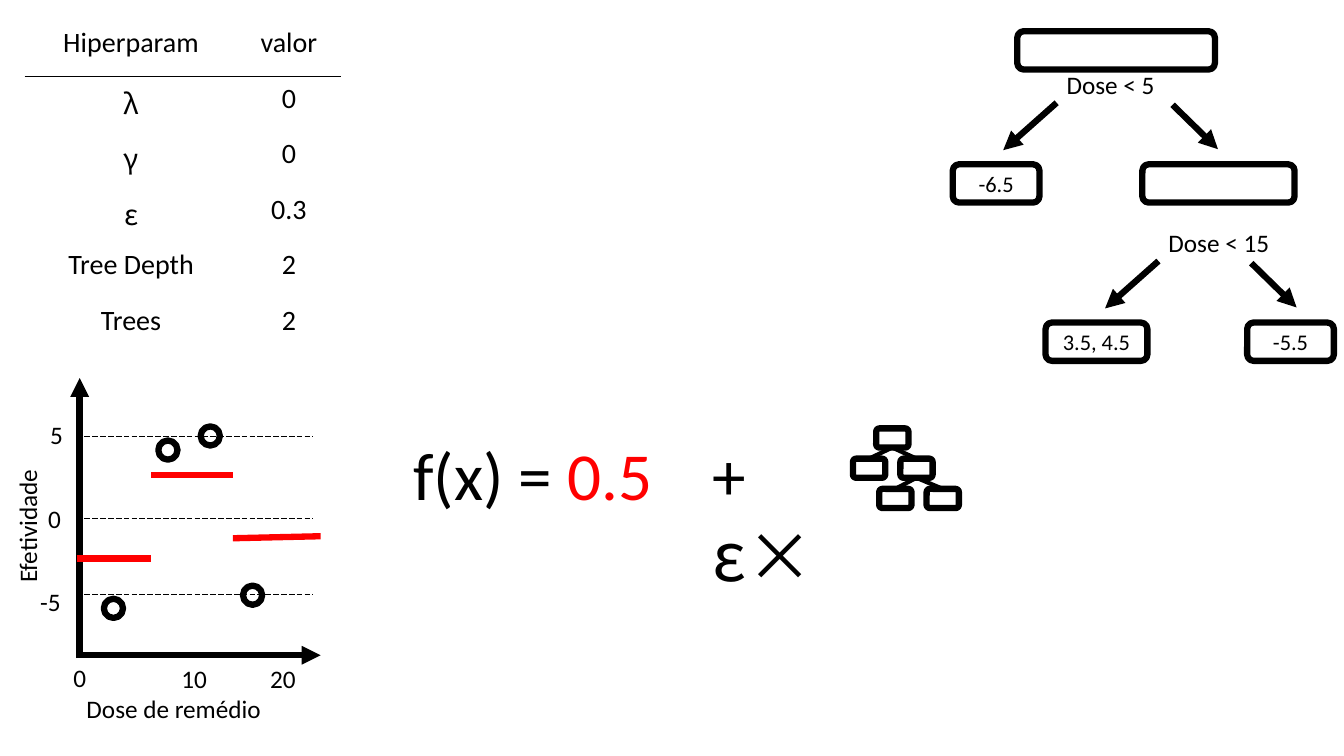
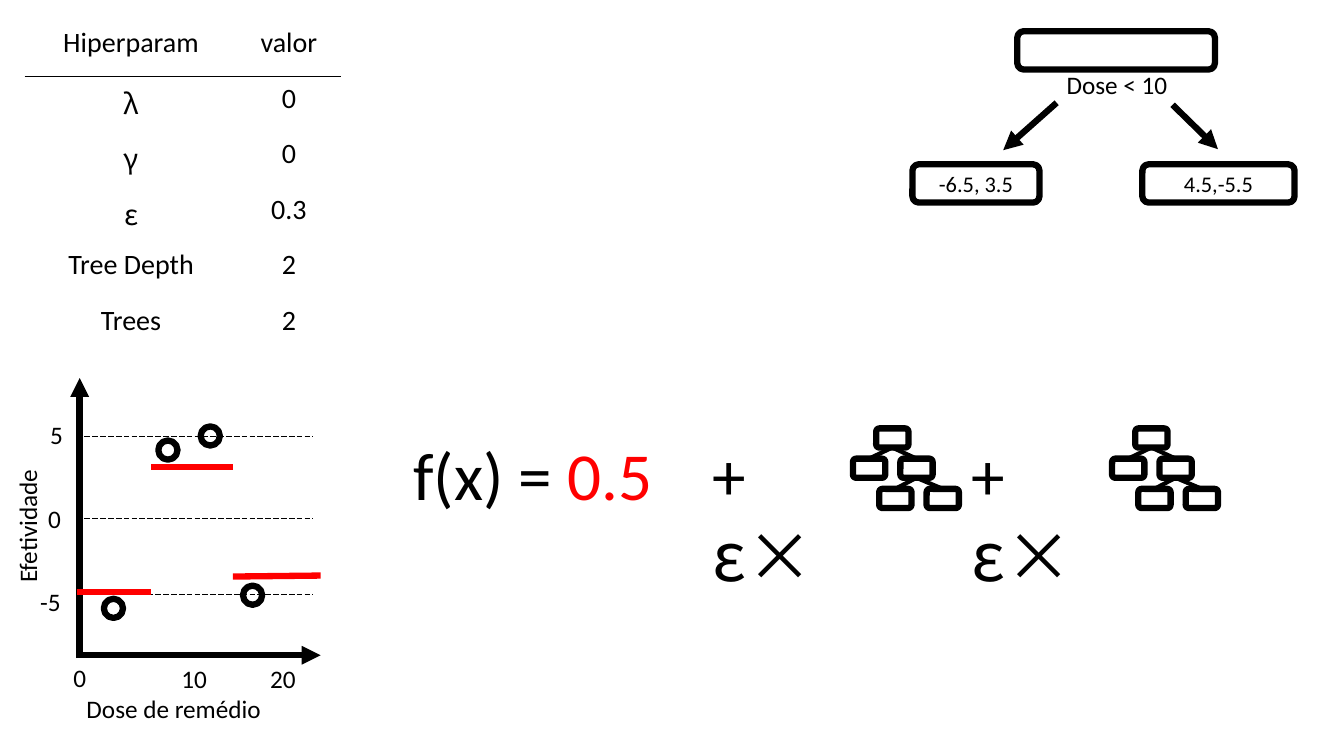
import pptx
import pptx.util
import pptx.dml.color
import pptx.enum.dml
import pptx.enum.shapes
import pptx.enum.text
import pptx.oxml
import pptx.oxml.ns
from lxml import etree

BLACK, WHITE, RED = "000000", "FFFFFF", "FF0000"
LATIN, MATH = "Calibri", "Noto Sans CJK SC"
THICK = 4.5
SHAPE = pptx.enum.shapes.MSO_SHAPE
CENTER = pptx.enum.text.PP_ALIGN.CENTER
qn = pptx.oxml.ns.qn
inch = pptx.util.Inches


def rgb(color):
    return pptx.dml.color.RGBColor.from_string(color)


# Shared drawing helpers

def style_run(r, size, font=LATIN, color=BLACK):
    r.font.size = pptx.util.Pt(size)
    r.font.name = font
    r.font.color.rgb = rgb(color)
    if font == MATH:
        etree.SubElement(r.font._element, qn("a:ea"), typeface=font)


def label(s, x, y, w, runs, size=18, h=0.4):
    """Text box whose runs are (text, font, colour); plain text is one run."""
    sp = s.shapes.add_textbox(inch(x), inch(y), inch(w), inch(h))
    tf = sp.text_frame
    tf.word_wrap = True
    if isinstance(runs, str):
        runs = [(runs, LATIN, BLACK)]
    for text, font, color in runs:
        r = tf.paragraphs[0].add_run()
        r.text = text
        style_run(r, size, font, color)
    return sp


def line(shapes, x1, y1, x2, y2, color=BLACK, width=THICK, arrow=False, dash=False):
    sp = shapes.add_connector(pptx.enum.shapes.MSO_CONNECTOR.STRAIGHT,
                              inch(x1), inch(y1), inch(x2), inch(y2))
    sp.line.color.rgb = rgb(color)
    sp.line.width = pptx.util.Pt(width)
    if dash:
        sp.line.dash_style = pptx.enum.dml.MSO_LINE.LONG_DASH
    if arrow:
        etree.SubElement(sp.line._get_or_add_ln(), qn("a:tailEnd"), type="triangle")
    etree.SubElement(sp._element.spPr, qn("a:effectLst"))


def outline(shapes, kind, x, y, w, h, text="", fill=None):
    sp = shapes.add_shape(kind, inch(x), inch(y), inch(w), inch(h))
    sp.shadow.inherit = False
    sp.line.color.rgb = rgb(BLACK)
    sp.line.width = pptx.util.Pt(THICK)
    if fill:
        sp.fill.solid()
        sp.fill.fore_color.rgb = rgb(fill)
    else:
        sp.fill.background()
    if text:
        tf = sp.text_frame
        tf.margin_left = tf.margin_right = 0
        tf.text = text
        p = tf.paragraphs[0]
        p.alignment = CENTER
        style_run(p.runs[0], 16)


# Hyperparameter table

def cell_border(cell, side):
    ln = etree.Element(qn("a:" + side), w=str(pptx.util.Pt(1)))
    fill = etree.SubElement(ln, qn("a:solidFill"))
    etree.SubElement(fill, qn("a:srgbClr"), val=BLACK)
    cell._tc.get_or_add_tcPr().insert(0, ln)


def hyperparameters(s, x, y):
    rows = [("Hiperparam", "valor"), ("λ", "0"), ("γ", "0"), ("ε", "0.3"),
            ("Tree Depth", "2"), ("Trees", "2")]
    widths, row_h = (2.1, 1.03), 0.55
    table = s.shapes.add_table(len(rows), 2, inch(x), inch(y), inch(sum(widths)),
                               inch(row_h * len(rows))).table
    table.first_row = table.horz_banding = False
    for column, w in zip(table.columns, widths):
        column.width = inch(w)
    for i, row in enumerate(rows):
        table.rows[i].height = inch(row_h)
        for j, text in enumerate(row):
            cell = table.cell(i, j)
            cell.fill.background()
            p = cell.text_frame.paragraphs[0]
            p.text = text
            p.alignment = CENTER
            style_run(p.runs[0], 20, MATH if text in "λγε" else LATIN)
            if i < 2:
                cell_border(cell, "lnT" if i else "lnB")


# Dose and effect plot

def dose_plot(s, x, y, levels):
    """Levels are (start, end) heights of the fitted steps, below the top."""
    line(s.shapes, x + 0.03, y + 2.78, x + 0.03, y, arrow=True)
    line(s.shapes, x, y + 2.75, x + 2.42, y + 2.75, arrow=True)
    for dy in (0.58, 1.39, 2.15):
        line(s.shapes, x, y + dy, x + 2.34, y + dy, width=0.5, dash=True)

    # Tick labels and axis titles
    for dx, dy, text in ((-0.36, 0.36, "5"), (-0.38, 1.19, "0"), (-0.46, 2.02, "-5"),
                         (-0.13, 2.77, "0"), (0.94, 2.78, "10"), (1.82, 2.78, "20")):
        label(s, x + dx, y + dy, 0.6, text)
    label(s, x, y + 3.08, 2.27, "Dose de remédio")
    label(s, x - 1.28, y + 1.14, 1.58, "Efetividade").rotation = 270

    # Fitted steps, then observations
    edges = (0, 0.74, 1.55, 2.42)
    for left, right, (start, end) in zip(edges, edges[1:], levels):
        line(s.shapes, x + left, y + start, x + right, y + end, RED)
    for dx, dy in ((0.27, 2.19), (0.81, 0.62), (1.23, 0.48), (1.65, 2.06)):
        outline(s.shapes, SHAPE.OVAL, x + dx, y + dy, 0.19, 0.19)


# Decision tree

def node(s, x, y, w, text=""):
    outline(s.shapes, SHAPE.ROUNDED_RECTANGLE, x, y, w, 0.38, text)


def split(s, x, y, gap, question, children):
    """Question with two arrows, gap apart; children are (dx, width, text)."""
    label(s, x, y - 0.38, 1.31, question)
    line(s.shapes, x, y, x - 0.53, y + 0.47, arrow=True)
    line(s.shapes, x + gap, y + 0.02, x + gap + 0.45, y + 0.46, arrow=True)
    for dx, w, text in children:
        node(s, x + dx, y + 0.61, w, text)


# Formula with one small tree per boosting step

def tree_icon(s, x, y):
    shapes = s.shapes.add_group_shape().shapes
    w, h, row = 0.32, 0.19, 0.3
    spots = [(0.23, 0), (0, 1), (0.47, 1), (0.26, 2), (0.73, 2)]
    for dx, level in spots:
        outline(shapes, SHAPE.ROUNDED_RECTANGLE, x + dx, y + level * row, w, h, fill=WHITE)
    for child, parent in ((1, 0), (2, 0), (3, 2), (4, 2)):
        (cx, c_level), (px, p_level) = spots[child], spots[parent]
        line(shapes, x + cx + w / 2, y + c_level * row,
             x + px + w / 2, y + p_level * row + h, width=3)


def formula(s, x, y, steps):
    label(s, x, y, 2.84, [("f(x) = ", LATIN, BLACK), ("0.5", LATIN, RED)], 48, 0.91)
    for i in range(steps):
        left = x + 2.97 + 2.57 * i
        label(s, left, y, 1.6, [("+ ", LATIN, BLACK), ("ε×", MATH, BLACK)], 48, 0.91)
        tree_icon(s, left + 1.49, y)


def boosting_slide(prs, levels, splits, steps):
    s = prs.slides.add_slide(prs.slide_layouts[6])
    hyperparameters(s, 0.25, 0.21)
    dose_plot(s, 0.76, 3.75, levels)
    node(s, 10.09, 0.31, 1.96)
    for args in splits:
        split(s, *args)
    formula(s, 4, 4.25, steps)


def main():
    prs = pptx.Presentation()
    prs.slide_width, prs.slide_height = inch(13.33), inch(7.5)
    root = (10.48, 1.02, 1.15)
    boosting_slide(
        prs, [(1.79, 1.79), (0.96, 0.96), (1.59, 1.57)],
        [(*root, "Dose < 5", [(-1.03, 0.86, "-6.5"), (0.85, 1.51, "")]),
         (11.49, 2.59, 0.92, "Dose < 15",
          [(-1.12, 1.01, "3.5, 4.5"), (0.88, 0.86, "-5.5")])], 1)
    boosting_slide(
        prs, [(2.12, 2.12), (0.88, 0.88), (1.97, 1.96)],
        [(*root, "Dose < 10",
          [(-1.43, 1.26, "-6.5, 3.5"), (0.85, 1.51, "4.5,-5.5")])], 2)
    prs.save("out.pptx")


if __name__ == "__main__":
    main()
